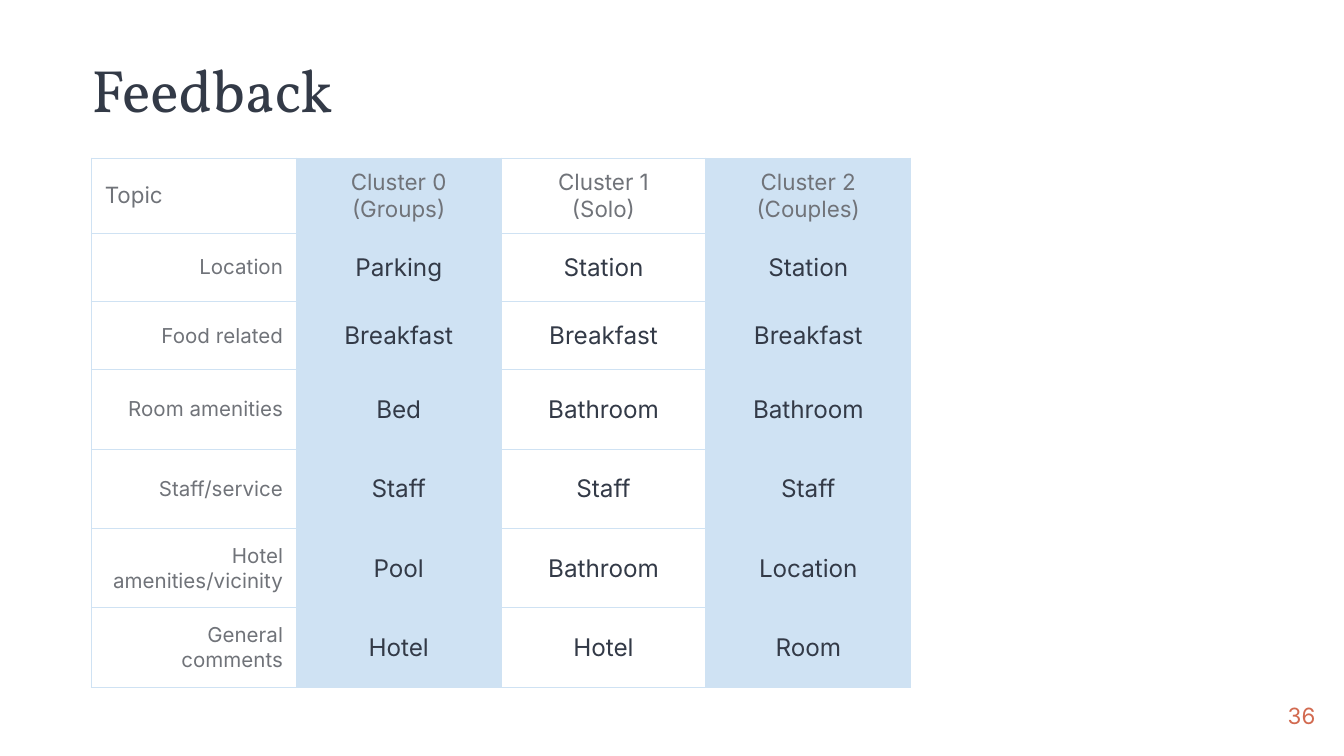
from dataclasses import dataclass
from lxml import etree
from pptx import Presentation
from pptx import util as u
from pptx.dml import color
from pptx.enum import text
from pptx.oxml import ns


@dataclass(frozen=True)
class Theme:
    head: str = "Vollkorn"
    body: str = "Inter"
    ink: str = "333A47"
    gray: str = "707379"
    blue: str = "CFE2F3"
    red: str = "D26A50"
    title: int = 32
    label: int = 12
    topic: int = 11
    word: int = 13
    rule: float = 0.75


theme = Theme()
left, mid, right = text.PP_ALIGN.LEFT, text.PP_ALIGN.CENTER, text.PP_ALIGN.RIGHT


def write(frame, lines, font, size, tint, align):
    for i, line in enumerate(lines):
        para = frame.paragraphs[0] if i == 0 else frame.add_paragraph()
        para.alignment = align
        run = para.add_run()
        run.text = line
        run.font.name = font
        run.font.size = u.Pt(size)
        run.font.color.rgb = color.RGBColor.from_string(tint)


def edge(cell):
    props = cell._tc.get_or_add_tcPr()
    for i, side in enumerate(("lnL", "lnR", "lnT", "lnB")):
        line = etree.Element(ns.qn("a:" + side), w=str(u.Pt(theme.rule)))
        fill = etree.SubElement(line, ns.qn("a:solidFill"))
        etree.SubElement(fill, ns.qn("a:srgbClr"), val=theme.blue)
        props.insert(i, line)


deck = Presentation()
deck.slide_width, deck.slide_height = u.Cm(25.4), u.Cm(14.29)
slide = deck.slides.add_slide(deck.slide_layouts[6])

boxes = [
    ("Feedback", (1.73, 1.09, 12.65, 1.35), theme.head, theme.title, theme.ink, left, 0.9),
    ("36", (23.34, 12.98, 1.52, 1.09), theme.body, theme.label, theme.red, right, 1.0),
]
for words, place, font, size, tint, align, space in boxes:
    frame = slide.shapes.add_textbox(*map(u.Cm, place)).text_frame
    frame.word_wrap = True
    frame.vertical_anchor = text.MSO_ANCHOR.MIDDLE
    frame.margin_left = frame.margin_right = frame.margin_top = frame.margin_bottom = 0
    write(frame, [words], font, size, tint, align)
    frame.paragraphs[0].line_spacing = space

rows = [
    ("Topic", "Cluster 0\n(Groups)", "Cluster 1\n(Solo)", "Cluster 2\n(Couples)"),
    ("Location", "Parking", "Station", "Station"),
    ("Food related", "Breakfast", "Breakfast", "Breakfast"),
    ("Room amenities", "Bed", "Bathroom", "Bathroom"),
    ("Staff/service", "Staff", "Staff", "Staff"),
    ("Hotel amenities/vicinity", "Pool", "Bathroom", "Location"),
    ("General comments", "Hotel", "Hotel", "Room"),
]
highs = [1.42] + [1.29] * 2 + [1.5] * 4
wide = 3.87
grid = slide.shapes.add_table(
    len(rows), 4, u.Cm(1.73), u.Cm(2.99), u.Cm(4 * wide), u.Cm(sum(highs))
).table
grid.horz_banding = False
for col in grid.columns:
    col.width = u.Cm(wide)

for r, row in enumerate(rows):
    grid.rows[r].height = u.Cm(highs[r])
    for c, words in enumerate(row):
        cell = grid.cell(r, c)
        cell.vertical_anchor = text.MSO_ANCHOR.MIDDLE
        cell.margin_left = cell.margin_right = u.Cm(0.25)
        cell.margin_top = cell.margin_bottom = u.Cm(0.18)
        if c % 2:
            cell.fill.solid()
            cell.fill.fore_color.rgb = color.RGBColor.from_string(theme.blue)
        else:
            cell.fill.background()
        edge(cell)
        if r == 0:
            size, tint, align = theme.label, theme.gray, mid if c else left
        elif c == 0:
            size, tint, align = theme.topic, theme.gray, right
        else:
            size, tint, align = theme.word, theme.ink, mid
        write(cell.text_frame, words.split("\n"), theme.body, size, tint, align)

deck.save("out.pptx")
